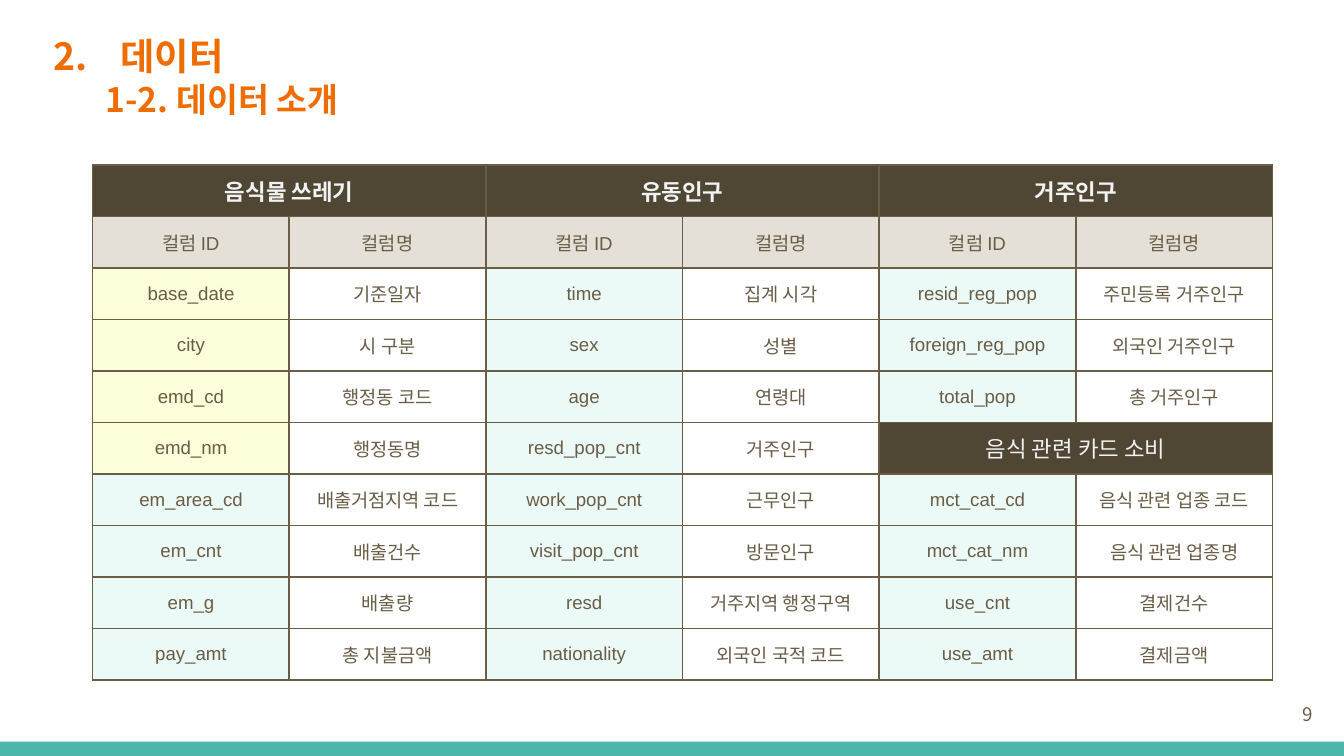
from lxml import etree
from pptx import Presentation
from pptx.dml.color import RGBColor
from pptx.enum.shapes import MSO_SHAPE as SHAPE
from pptx.enum.text import MSO_ANCHOR as ANCHOR, PP_ALIGN as ALIGN
from pptx.oxml.ns import qn
from pptx.util import Cm, Pt

ORANGE = RGBColor(0xEF, 0x6C, 0x00)
TEAL = RGBColor(0x4D, 0xB6, 0xAC)
BROWN = RGBColor(0x69, 0x5D, 0x46)
DARK = RGBColor(0x4F, 0x46, 0x34)
SAND = RGBColor(0xE4, 0xE0, 0xD7)
YELLOW = RGBColor(0xFC, 0xFF, 0xD9)
MINT = RGBColor(0xEC, 0xFA, 0xF7)
LIGHT = RGBColor(0xF2, 0xF2, 0xF2)

KOREAN = "Noto Sans CJK KR"
NUMBER = {"size": Pt(10), "name": KOREAN}
TITLE = {"size": Pt(20), "name": KOREAN, "bold": True}
SUBTITLE = {"size": Pt(18), "name": KOREAN, "bold": True}
BODY = {"size": Pt(10), "name": "Arial", "bold": False}
HEAD = {"size": Pt(12), "name": "Arial", "bold": True}
SUBHEAD = {"size": Pt(12), "name": "Arial", "bold": False}

GROUPS = ["음식물 쓰레기", "유동인구", "거주인구"]
CARD = "음식 관련 카드 소비"
CARD_ROW = 5
KEY_ROWS = range(2, 6)
ROWS = [
    ["컬럼 ID", "컬럼명"] * 3,
    ["base_date", "기준일자", "time", "집계 시각", "resid_reg_pop", "주민등록 거주인구"],
    ["city", "시 구분", "sex", "성별", "foreign_reg_pop", "외국인 거주인구"],
    ["emd_cd", "행정동 코드", "age", "연령대", "total_pop", "총 거주인구"],
    ["emd_nm", "행정동명", "resd_pop_cnt", "거주인구"],
    ["em_area_cd", "배출거점지역 코드", "work_pop_cnt", "근무인구", "mct_cat_cd", "음식 관련 업종 코드"],
    ["em_cnt", "배출건수", "visit_pop_cnt", "방문인구", "mct_cat_nm", "음식 관련 업종명"],
    ["em_g", "배출량", "resd", "거주지역 행정구역", "use_cnt", "결제건수"],
    ["pay_amt", "총 지불금액", "nationality", "외국인 국적 코드", "use_amt", "결제금액"],
]


def write(p, text, fmt, color, align=ALIGN.LEFT):
    p.alignment = align
    r = p.add_run()
    r.text = text
    for key, value in fmt.items():
        setattr(r.font, key, value)
    r.font.color.rgb = color
    etree.SubElement(r.font._element, qn("a:ea"), typeface=KOREAN)


def add_text(s, box, anchor=ANCHOR.TOP):
    tf = s.shapes.add_textbox(*map(Cm, box)).text_frame
    tf.word_wrap = True
    tf.vertical_anchor = anchor
    for side in ("left", "top", "right", "bottom"):
        setattr(tf, f"margin_{side}", Cm(0.25))
    return tf.paragraphs[0]


def indent(p, left, first):
    pPr = p._p.get_or_add_pPr()
    pPr.set("marL", str(Cm(left)))
    pPr.set("indent", str(Cm(first)))
    return pPr


def number(pPr, start, color):
    clr = etree.SubElement(pPr, qn("a:buClr"))
    etree.SubElement(clr, qn("a:srgbClr"), val=str(color))
    etree.SubElement(pPr, qn("a:buFont"), typeface=KOREAN)
    etree.SubElement(pPr, qn("a:buAutoNum"), type="arabicPeriod", startAt=str(start))


def add_borders(cell):
    tcPr = cell._tc.get_or_add_tcPr()
    for side in ("lnL", "lnR", "lnT", "lnB"):
        ln = etree.SubElement(tcPr, qn(f"a:{side}"), w=str(Pt(1)))
        fill = etree.SubElement(ln, qn("a:solidFill"))
        etree.SubElement(fill, qn("a:srgbClr"), val=str(BROWN))


def fill_cell(cell, text, fill, fmt=BODY, color=BROWN):
    cell.vertical_anchor = ANCHOR.MIDDLE
    if fill is None:
        cell.fill.background()
    else:
        cell.fill.solid()
        cell.fill.fore_color.rgb = fill
    write(cell.text_frame.paragraphs[0], text, fmt, color, ALIGN.CENTER)


def add_header(table, row, col, text, fmt):
    table.cell(row, col).merge(table.cell(row, col + 1))
    fill_cell(table.cell(row, col), text, DARK, fmt, LIGHT)


def column_fill(row, col):
    if row == 1:
        return SAND
    if col % 2:
        return None
    return YELLOW if col == 0 and row in KEY_ROWS else MINT


def add_data_table(s):
    n_rows, n_cols = len(ROWS) + 1, 2 * len(GROUPS)
    box = map(Cm, (1.75, 3.12, 22.3, 9.73))
    table = s.shapes.add_table(n_rows, n_cols, *box).table
    for cell in table.iter_cells():
        add_borders(cell)
    for i, group in enumerate(GROUPS):
        add_header(table, 0, 2 * i, group, HEAD)
    add_header(table, CARD_ROW - 1 + 1, n_cols - 2, CARD, SUBHEAD)
    for row, texts in enumerate(ROWS, 1):
        for col, text in enumerate(texts):
            fill_cell(table.cell(row, col), text, column_fill(row, col))


def add_band(s):
    sp = s.shapes.add_shape(SHAPE.RECTANGLE, 0, Cm(14.02), Cm(25.4), Cm(0.27))
    sp.shadow.inherit = False
    sp.fill.solid()
    sp.fill.fore_color.rgb = TEAL
    sp.line.fill.background()


def main():
    prs = Presentation()
    prs.slide_width, prs.slide_height = Cm(25.4), Cm(14.29)
    s = prs.slides.add_slide(prs.slide_layouts[6])
    add_band(s)

    p = add_text(s, (23.55, 12.95, 1.52, 1.09), ANCHOR.MIDDLE)
    write(p, "9", NUMBER, BROWN, ALIGN.RIGHT)

    p = add_text(s, (0.48, 0.38, 23.67, 1.09))
    number(indent(p, 1.55, -1.27), 2, ORANGE)
    write(p, "데이터", TITLE, ORANGE)

    p = add_text(s, (0.48, 1.24, 23.67, 1.09))
    indent(p, 0, 1.27)
    write(p, "1-2. 데이터 소개", SUBTITLE, ORANGE)

    add_data_table(s)
    prs.save("out.pptx")


if __name__ == "__main__":
    main()
